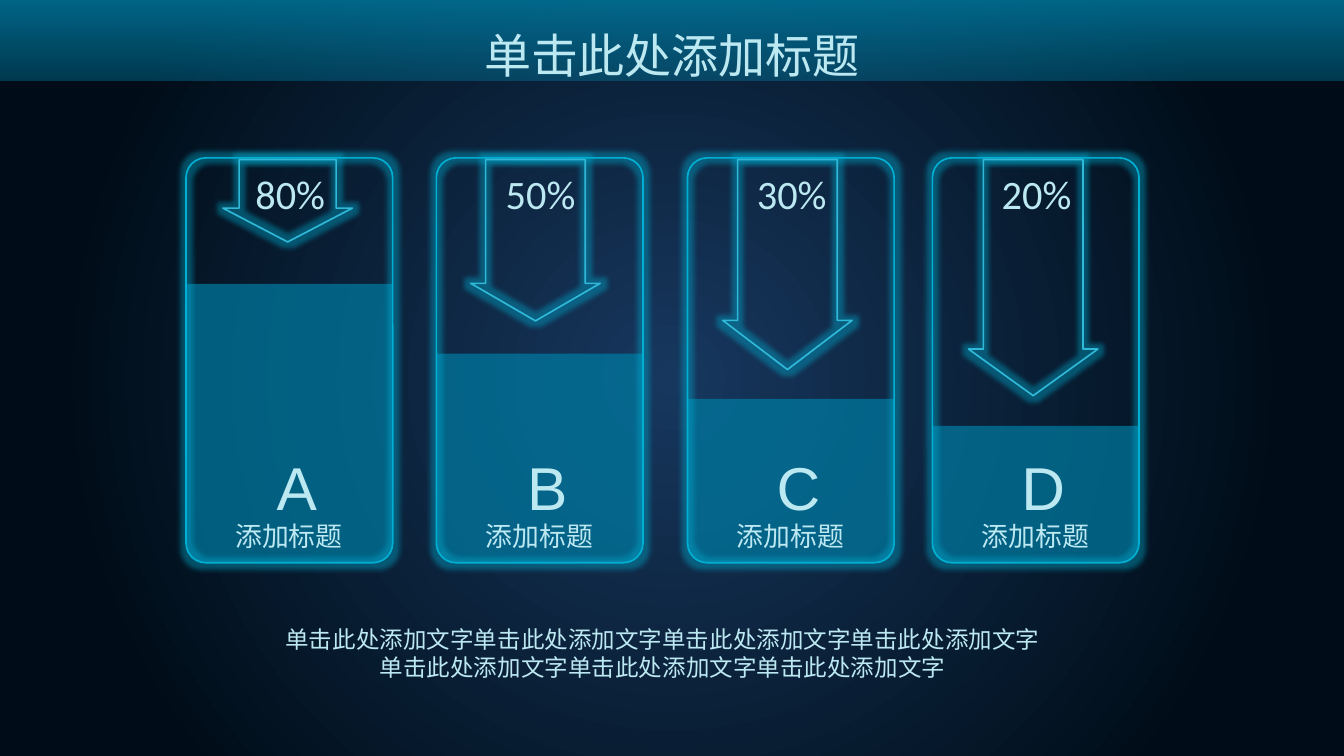
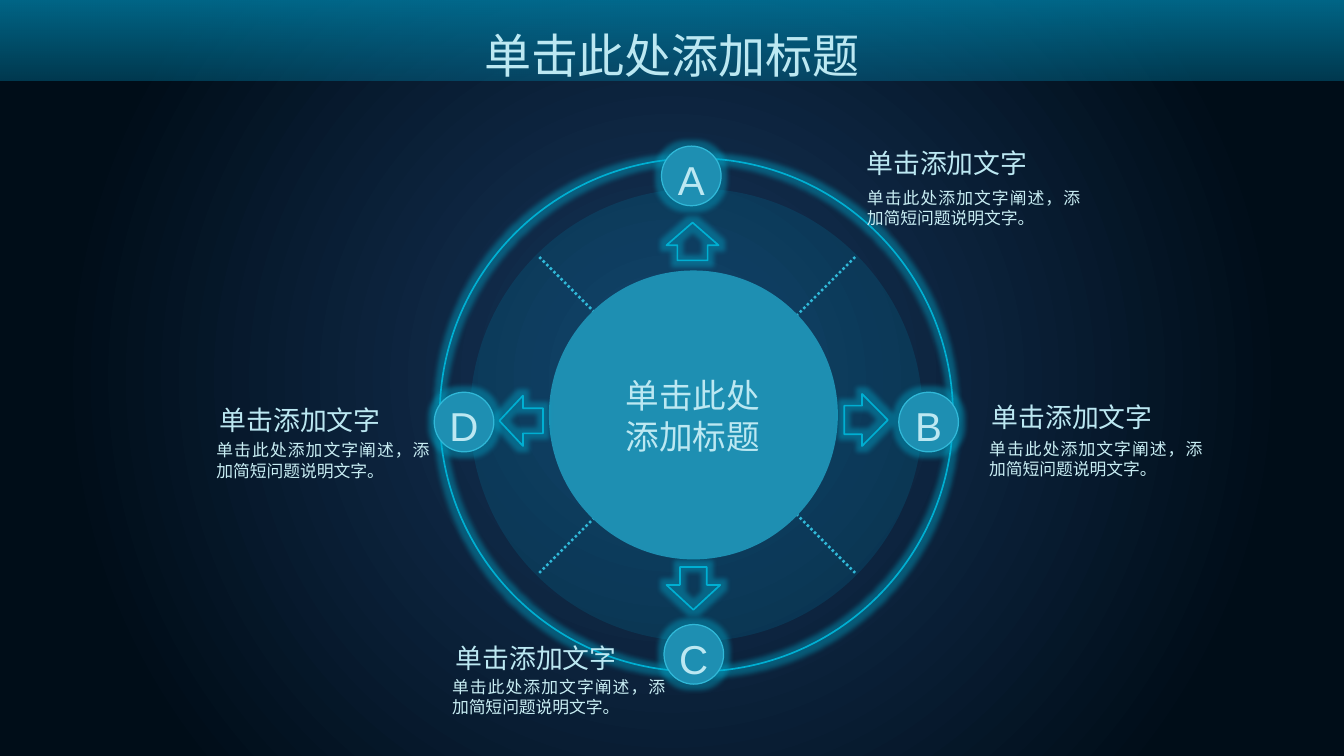
from lxml.etree import SubElement
from pptx import Presentation
from pptx.dml.color import RGBColor
from pptx.enum.dml import MSO_LINE
from pptx.enum.shapes import MSO_CONNECTOR, MSO_SHAPE
from pptx.enum.text import MSO_ANCHOR, MSO_AUTO_SIZE, PP_ALIGN
from pptx.oxml.ns import qn
from pptx.util import Pt

NAVY = RGBColor(0x17, 0x37, 0x5E)
NIGHT = RGBColor(0x00, 0x0D, 0x18)
TEAL = RGBColor(0x00, 0x7D, 0xA4)
CYAN = RGBColor(0x00, 0xAF, 0xD2)
SKY = RGBColor(0x30, 0xB8, 0xD8)
DISC = RGBColor(0x1E, 0x8F, 0xB2)
EDGE = RGBColor(0x4E, 0xC3, 0xDE)
PALE = RGBColor(0xBC, 0xE8, 0xF2)
NOTE = RGBColor(0xC8, 0xED, 0xF3)
CHINESE, LETTER, NUMBER = "Noto Sans CJK SC", "Arial", "Calibri"
WIDTH, HEIGHT = 800, 450
TITLE = "单击此处添加标题"


# Shared drawing helpers
def add_colour(parent, colour, alpha=100):
    node = SubElement(parent, qn("a:srgbClr"), val=str(colour))
    if alpha < 100:
        SubElement(node, qn("a:alpha"), val=str(alpha * 1000))


def set_gradient(fill, holder, stops, angle=None):
    """Stops are (position, colour, alpha); no angle means a circle."""
    fill.gradient()
    gradient = holder.find(".//" + qn("a:gradFill"))
    for child in list(gradient):
        gradient.remove(child)
    stop_list = SubElement(gradient, qn("a:gsLst"))
    for position, colour, alpha in stops:
        stop = SubElement(stop_list, qn("a:gs"), pos=str(position * 1000))
        add_colour(stop, colour, alpha)
    if angle is None:
        circle = SubElement(gradient, qn("a:path"), {"path": "circle"})
        SubElement(circle, qn("a:fillToRect"), l="50000", t="50000", r="50000", b="50000")
    else:
        SubElement(gradient, qn("a:lin"), ang=str(angle * 60000), scaled="0")


def draw(page, kind, box, fill=None, alpha=100, line=None, weight=1, glow=False, adjust=()):
    shape = page.shapes.add_shape(kind, *map(Pt, box))
    shape.shadow.inherit = False
    for index, value in enumerate(adjust):
        shape.adjustments[index] = value
    if fill is None:
        shape.fill.background()
    else:
        shape.fill.solid()
        shape.fill.fore_color.rgb = fill
        if alpha < 100:
            colour = shape.element.spPr.find(qn("a:solidFill")).find(qn("a:srgbClr"))
            SubElement(colour, qn("a:alpha"), val=str(alpha * 1000))
    if line is None:
        shape.line.fill.background()
    else:
        shape.line.color.rgb = line
        shape.line.width = Pt(weight)
    if glow:
        effects = shape.element.spPr.find(qn("a:effectLst"))
        add_colour(SubElement(effects, qn("a:glow"), rad=str(Pt(6))), CYAN, 40)
    return shape


def format_para(para, size, font=CHINESE, colour=PALE, align=PP_ALIGN.CENTER, leading=None):
    para.alignment = align
    para.space_before = Pt(0)
    if leading:
        para.line_spacing = Pt(leading)
    for span in para.runs:
        span.font.size = Pt(size)
        span.font.name = font
        span.font.color.rgb = colour
        SubElement(span._r.get_or_add_rPr(), qn("a:ea"), typeface=font)


def write(page, box, text, size, wrap=True, **style):
    frame = page.shapes.add_textbox(*map(Pt, box)).text_frame
    frame.word_wrap = wrap
    frame.text = text
    for para in frame.paragraphs:
        format_para(para, size, **style)


# Background and band live on the master, the title box on the layout
def style_template(deck, layout):
    master = deck.slide_master
    set_gradient(master.background.fill, master.element, [(0, NAVY, 100), (80, NIGHT, 100)])
    title = layout.placeholders[0]
    title.left, title.top, title.width, title.height = map(Pt, (247.5, 3.5, 305, 48.5))


def add_band(deck, page):
    band = draw(page, MSO_SHAPE.RECTANGLE, (0, 0, WIDTH, 48))
    set_gradient(band.fill, band.element, [(0, TEAL, 80), (100, TEAL, 39)], 90)
    deck.slide_master.shapes.element.insert(2, band.element)


def add_page(deck, layout):
    page = deck.slides.add_slide(layout)
    title = page.shapes.title
    frame = title.text_frame
    frame.text = TITLE
    frame.word_wrap = True
    frame.auto_size = MSO_AUTO_SIZE.NONE
    frame.vertical_anchor = MSO_ANCHOR.TOP
    para = frame.paragraphs[0]
    format_para(para, 28, leading=42)
    set_gradient(para.runs[0].font.fill, title.element,
                 [(0, EDGE, 100), (40, PALE, 100), (60, PALE, 100), (100, EDGE, 100)], 0)
    return page


# Slide 1: tanks with a level and a falling arrow
TANK_TOP, TANK_WIDTH, TANK_HEIGHT = 94, 123, 241
TANKS = [  # letter, percent, left, level height, arrow inset, arrow height, arrow adjustments
    ("A", "80%", 110.75, 166, 22, 49, (0.75, 0.41)),
    ("B", "50%", 259.75, 124.5, 20.5, 96, (0.77, 0.29)),
    ("C", "30%", 409.25, 97.5, 21, 125, (0.77, 0.38)),
    ("D", "20%", 555, 81.5, 21.5, 140.5, (0.77, 0.36)),
]


def add_tank(page, left, top, letter, percent, level, inset, drop, adjust):
    corner = 0.095 * TANK_WIDTH
    draw(page, MSO_SHAPE.ROUND_2_SAME_RECTANGLE,
         (left, top + TANK_HEIGHT - level, TANK_WIDTH, level), TEAL, 70,
         adjust=(0, corner / min(TANK_WIDTH, level)))
    draw(page, MSO_SHAPE.ROUNDED_RECTANGLE, (left, top, TANK_WIDTH, TANK_HEIGHT),
         line=CYAN, glow=True, adjust=(0.095,))
    draw(page, MSO_SHAPE.DOWN_ARROW, (left + inset, top + 1, 77, drop),
         line=SKY, glow=True, adjust=adjust)
    write(page, (left + 19, top + 3, 86, 36), percent, 24, font=NUMBER)
    write(page, (left + 44, top + 170.5, 44, 48), letter, 36, wrap=False, font=LETTER)
    write(page, (left + 5, top + 211.5, 112.5, 26.5), "添加标题", 16, leading=19.5)


def build_tank_page(deck, layout):
    page = add_page(deck, layout)
    for letter, percent, left, level, inset, drop, adjust in TANKS:
        add_tank(page, left, TANK_TOP, letter, percent, level, inset, drop, adjust)
    phrase = "单击此处添加文字"
    write(page, (111, 368.5, 567, 41), f"{phrase * 4}\n{phrase * 3}", 14, leading=16.8)
    return page


# Slide 2: wheel with four lettered directions
BADGE = 35.5
DIRECTIONS = [  # letter, badge corner, arrow, arrow box, adjustments, heading corner, note corner
    ("A", (393.75, 87), MSO_SHAPE.UP_ARROW, (396.75, 132.5, 31, 22.5), (0.58, 0.6),
     (496, 83.5), (509, 108)),
    ("B", (535, 233.5), MSO_SHAPE.RIGHT_ARROW, (502.5, 234.5, 26, 31), (0.55, 0.59),
     (570.5, 234.75), (581.75, 257.75)),
    ("C", (395.25, 371.75), MSO_SHAPE.DOWN_ARROW, (396.75, 337.5, 32, 25.5), (0.5, 0.58),
     (251.5, 378), (262, 399.5)),
    ("D", (258.5, 233.5), MSO_SHAPE.LEFT_ARROW, (297.25, 235.5, 26, 30), (0.5, 0.54),
     (111, 236.25), (121.75, 258.5)),
]


def centred(x, y, size):
    return x - size / 2, y - size / 2, size, size


def add_divider(page, *ends):
    divider = page.shapes.add_connector(MSO_CONNECTOR.STRAIGHT, *map(Pt, ends))
    divider.line.color.rgb = SKY
    divider.line.width = Pt(1.5)
    divider.line.dash_style = MSO_LINE.ROUND_DOT
    SubElement(divider.element.spPr, qn("a:effectLst"))


def add_wheel(page, x, y):
    draw(page, MSO_SHAPE.OVAL, centred(x, y, 269.5), TEAL, 20)
    for slope in (1, -1):
        add_divider(page, x - 93.5, y - 94 * slope, x + 94.5, y + 94 * slope)
    draw(page, MSO_SHAPE.OVAL, centred(x - 1.75, y, 172), DISC)
    write(page, (x - 56, y - 27.5, 108, 55.5), TITLE, 20, leading=24.4)
    draw(page, MSO_SHAPE.OVAL, centred(x, y, 305.5), line=CYAN, glow=True)


def add_badge(page, corner, letter):
    badge = draw(page, MSO_SHAPE.OVAL, (*corner, BADGE, BADGE), DISC,
                 line=SKY, weight=0.75, glow=True)
    frame = badge.text_frame
    frame.margin_left = frame.margin_right = frame.margin_bottom = 0
    frame.margin_top = Pt(4.5)
    frame.word_wrap = False
    frame.vertical_anchor = MSO_ANCHOR.MIDDLE
    frame.text = letter
    format_para(frame.paragraphs[0], 24, font=LETTER)


def build_wheel_page(deck, layout):
    page = add_page(deck, layout)
    add_wheel(page, 414.5, 247)
    for letter, corner, arrow, box, adjust, heading, note in DIRECTIONS:
        draw(page, arrow, box, line=CYAN, glow=True, adjust=adjust)
        add_badge(page, corner, letter)
        write(page, (*heading, 135.5, 26.5), "单击添加文字", 16, leading=19.5)
        write(page, (*note, 141, 32), "单击此处添加文字阐述，添加简短问题说明文字。", 10,
              colour=NOTE, align=PP_ALIGN.JUSTIFY, leading=12)


def main():
    deck = Presentation()
    deck.slide_width, deck.slide_height = Pt(WIDTH), Pt(HEIGHT)
    layout = deck.slide_layouts[5]
    style_template(deck, layout)
    add_band(deck, build_tank_page(deck, layout))
    build_wheel_page(deck, layout)
    deck.save("out.pptx")


if __name__ == "__main__":
    main()
